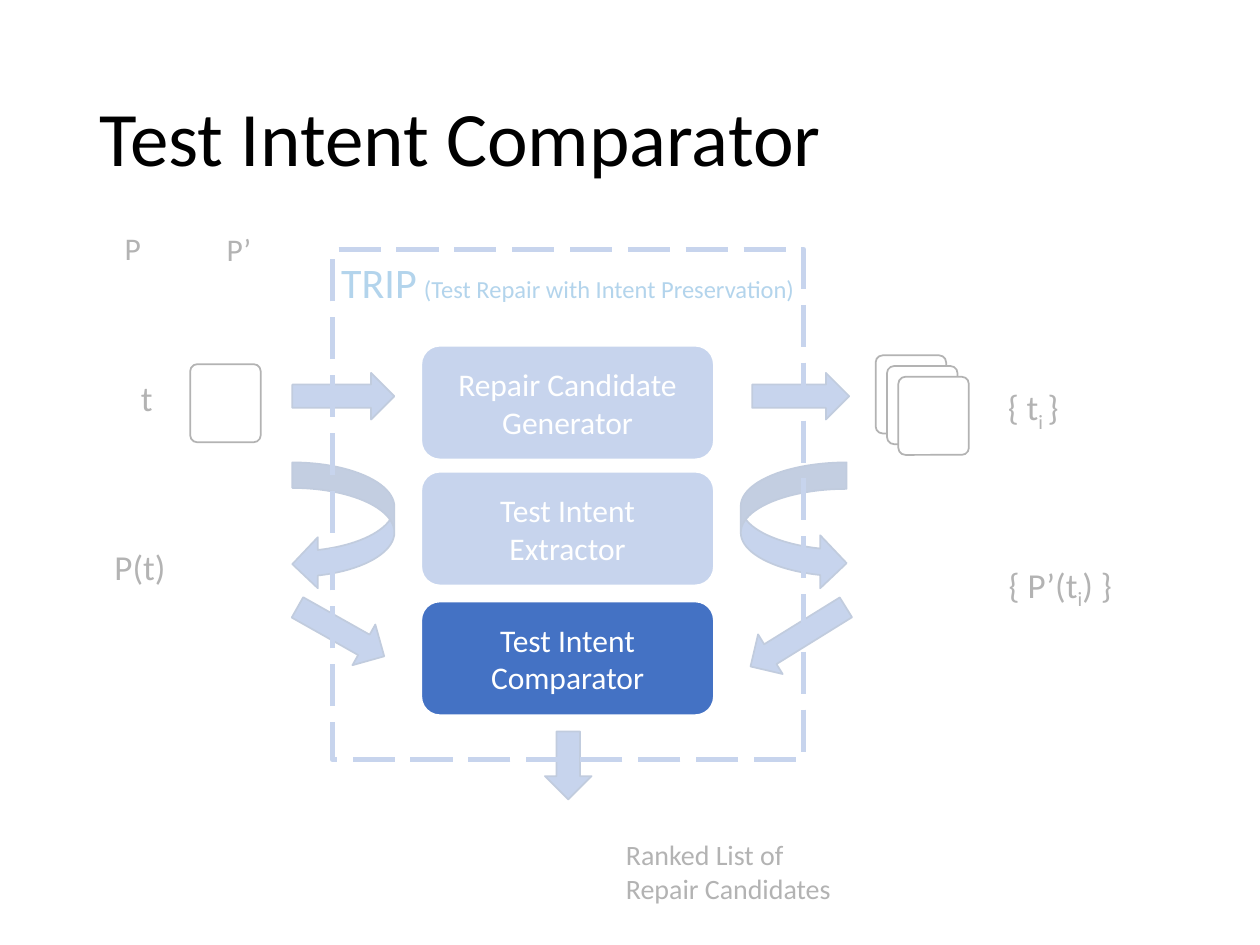
from dataclasses import dataclass

from lxml.etree import SubElement
from pptx import Presentation
from pptx.dml.color import RGBColor
from pptx.enum.dml import MSO_LINE
from pptx.enum.shapes import MSO_SHAPE
from pptx.enum.text import MSO_ANCHOR, MSO_AUTO_SIZE, PP_ALIGN
from pptx.oxml.ns import qn
from pptx.util import Inches, Pt


@dataclass(frozen=True)
class Theme:
    font: str = "Calibri"
    ink: str = "000000"
    paper: str = "FFFFFF"
    blue: str = "4472C4"
    edge: str = "325491"
    accent: str = "0070C0"
    title: int = 44
    head: int = 24
    label: int = 20
    body: int = 18
    note: int = 16
    small: int = 14


class Board:
    """Holds the theme and the slide being drawn."""

    def __init__(self, slide, theme):
        self.slide = slide
        self.theme = theme

    def style(self, font, size, color):
        font.name = self.theme.font
        font.size = Pt(size)
        font.color.rgb = RGBColor.from_string(color)

    def title(self, text, *box):
        shape = self.slide.shapes.title
        shape.left, shape.top, shape.width, shape.height = map(Inches, box)
        frame = shape.text_frame
        frame.text = text
        frame.vertical_anchor = MSO_ANCHOR.MIDDLE
        para = frame.paragraphs[0]
        para.alignment = PP_ALIGN.LEFT
        para.line_spacing = 0.9
        self.style(para.runs[0].font, self.theme.title, self.theme.ink)

    def shape(self, kind, *box, fill=None, line=None, width=1):
        shape = self.slide.shapes.add_shape(kind, *map(Inches, box))
        shape.shadow.inherit = False
        if fill:
            shape.fill.solid()
            shape.fill.fore_color.rgb = RGBColor.from_string(fill)
        else:
            shape.fill.background()
        if line:
            shape.line.color.rgb = RGBColor.from_string(line)
            shape.line.width = Pt(width)
        else:
            shape.line.fill.background()
        return shape

    def arrow(self, *box, turn=0, kind=MSO_SHAPE.RIGHT_ARROW, flip=False):
        shape = self.shape(kind, *box, fill=self.theme.blue, line=self.theme.edge)
        shape.rotation = turn
        if flip:
            shape.element.spPr.xfrm.set("flipH", "1")

    def card(self, left, top):
        shape = self.shape(MSO_SHAPE.ROUNDED_RECTANGLE, left, top, 0.56, 0.62,
                           fill=self.theme.paper, line=self.theme.ink)
        shape.adjustments[0] = 0.1

    def stage(self, text, top):
        shape = self.shape(MSO_SHAPE.ROUNDED_RECTANGLE, 3.34, top, 2.33, 0.91,
                           fill=self.theme.blue, line=self.theme.paper, width=1.5)
        frame = shape.text_frame
        frame.text = text
        frame.vertical_anchor = MSO_ANCHOR.MIDDLE
        for para in frame.paragraphs:
            para.alignment = PP_ALIGN.CENTER
            self.style(para.runs[0].font, self.theme.body, self.theme.paper)

    def frame(self, *box, wrap=False):
        frame = self.slide.shapes.add_textbox(*map(Inches, box)).text_frame
        frame.word_wrap = wrap
        frame.auto_size = MSO_AUTO_SIZE.SHAPE_TO_FIT_TEXT
        return frame

    def label(self, text, size, *box):
        frame = self.frame(*box)
        frame.text = text
        for para in frame.paragraphs:
            self.style(para.runs[0].font, size, self.theme.ink)

    def indexed(self, parts, *box):
        """Label whose second part is a subscript."""
        para = self.frame(*box).paragraphs[0]
        para.alignment = PP_ALIGN.CENTER
        for place, text in enumerate(parts):
            run = para.add_run()
            run.text = text
            self.style(run.font, self.theme.label, self.theme.ink)
            if place == 1:
                run.font._element.set("baseline", "-25000")

    def heading(self, parts, *box):
        para = self.frame(*box, wrap=True).paragraphs[0]
        for text, size in parts:
            run = para.add_run()
            run.text = text
            self.style(run.font, size, self.theme.accent)

    def veil(self, *box, alpha):
        """Translucent sheet that fades everything below it."""
        shape = self.shape(MSO_SHAPE.RECTANGLE, *box, fill=self.theme.paper)
        color = shape.element.spPr.find(".//" + qn("a:srgbClr"))
        SubElement(color, qn("a:alpha")).set("val", str(alpha * 1000))


def main():
    deck = Presentation()
    deck.slide_width, deck.slide_height = Inches(10), Inches(7.5)
    theme = Theme()
    board = Board(deck.slides.add_slide(deck.slide_layouts[5]), theme)

    board.title("Test Intent Comparator", 0.69, 0.4, 8.62, 1.45)

    # Inputs on the left, candidates on the right
    board.label("P", theme.body, 0.89, 1.77, 0.33, 0.4)
    board.label("P’", theme.body, 1.7, 1.78, 0.4, 0.4)
    board.label("t", theme.label, 1.02, 2.94, 0.3, 0.44)
    board.label("P(t)", theme.label, 0.81, 4.28, 0.61, 0.44)
    board.indexed(["{ t", "i ", "}"], 7.89, 3.01, 0.62, 0.44)
    board.indexed(["{ P’(t", "i", ") }"], 7.9, 4.42, 1.03, 0.44)
    board.card(1.51, 2.89)
    for step in range(3):
        board.card(6.95 + 0.09 * step, 2.82 + 0.085 * step)

    # Flow
    board.arrow(2.32, 2.96, 0.81, 0.37)
    board.arrow(5.97, 2.96, 0.77, 0.37)
    curve = MSO_SHAPE.CURVED_LEFT_ARROW
    board.arrow(2.32, 3.67, 0.81, 1.01, kind=curve)
    board.arrow(5.88, 3.67, 0.84, 1.01, kind=curve, flip=True)
    board.arrow(2.31, 4.83, 0.79, 0.37, turn=29.4)
    board.arrow(5.89, 4.87, 0.89, 0.37, turn=148.2)
    board.arrow(4.24, 5.89, 0.54, 0.37, turn=90)
    board.label("Ranked List of\nRepair Candidates", theme.note, 4.87, 6.6, 1.84, 0.64)

    # Tool boundary and its stages; the last stage stands above the veil
    border = board.shape(MSO_SHAPE.RECTANGLE, 2.64, 1.98, 3.74, 4.05,
                         line=theme.blue, width=3)
    border.line.dash_style = MSO_LINE.LONG_DASH
    board.heading([("TRIP", theme.head), (" ", theme.body),
                   ("(Test Repair with Intent Preservation)", theme.small)],
                  2.61, 1.99, 3.92, 0.5)
    board.stage("Repair Candidate\nGenerator", 2.74)
    board.stage("Test Intent\nExtractor", 3.74)
    board.veil(0.65, 1.54, 8.62, 5.75, alpha=70)
    board.stage("Test Intent\nComparator", 4.77)

    deck.save("out.pptx")


if __name__ == "__main__":
    main()
